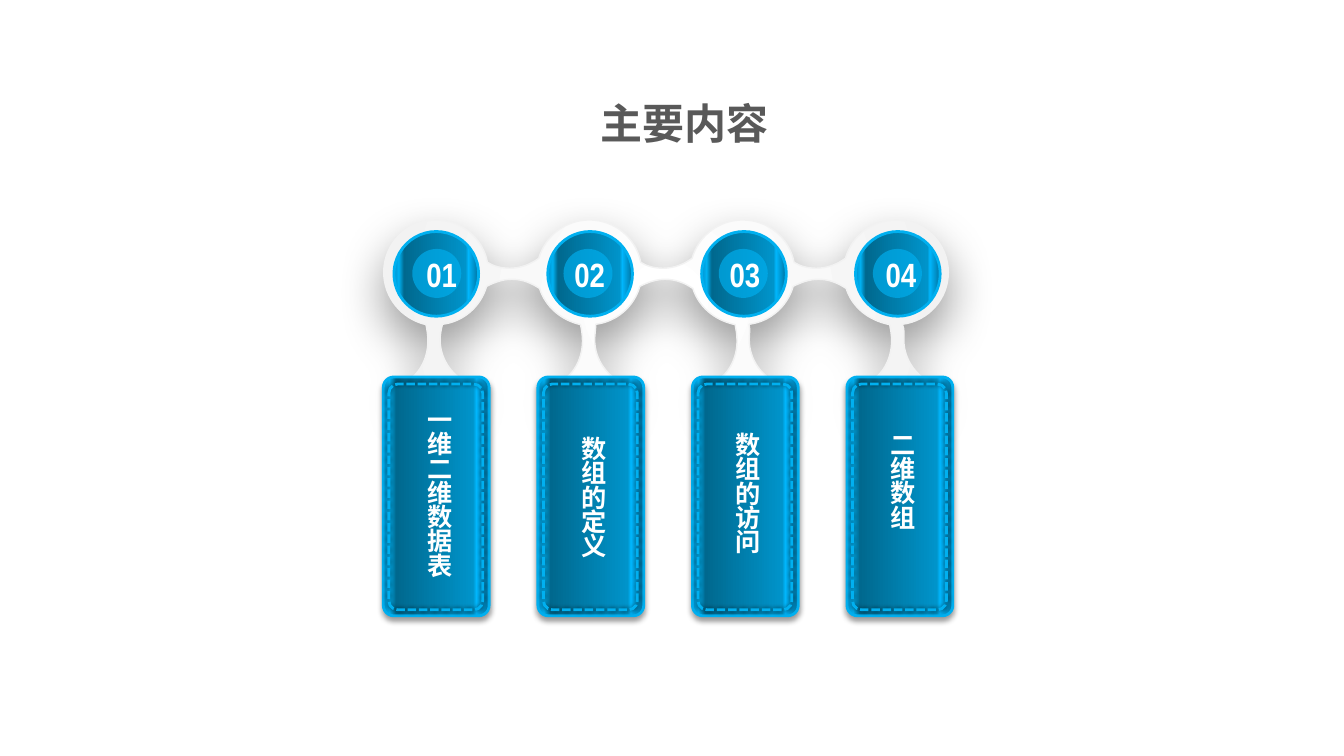
from collections import namedtuple
from math import cos, radians, sin, tan

from lxml.etree import SubElement
from pptx import Presentation
from pptx.dml.color import RGBColor
from pptx.enum.dml import MSO_LINE
from pptx.enum.shapes import MSO_SHAPE
from pptx.enum.text import MSO_ANCHOR, PP_ALIGN
from pptx.oxml.ns import qn
from pptx.util import Pt

BLUE, WHITE, PALE, GRAY = "00B0F0", "FFFFFF", "F2F2F2", "595959"
GLOSS = [(0, "0092CE"), (6, BLUE), (12, "00688E"),
         (85, "0094CA"), (88, "00B6FC"), (98, "007EB0")]
LATIN, CHINESE = "Arial Narrow", "Noto Sans CJK SC"

Topic = namedtuple("Topic", "number label badge_left number_left label_left label_top")
TOPICS = [
    Topic("01", "一维二维数据表", 294.5, 297.4, 298, 289.4),
    Topic("02", "数组的定义", 402.5, 403.2, 408.2, 310.3),
    Topic("03", "数组的访问", 513.4, 514.1, 518, 307.4),
    Topic("04", "二维数组", 623.5, 625.5, 628.6, 307.2),
]
LABEL_PITCH = 17.4
CARD_PITCH, DISC_PITCH, RING_PITCH = 110.4, 109.9, 109.5
RING_LEFT, RING_MIDDLE, RING_RADIUS = 311.5, 194.5, 37.4


def color(value):
    return RGBColor.from_string(value)


def moved(center_x, *points):
    return [(center_x + x, RING_MIDDLE + y) for x, y in points]


def ring_arc(center_x, start, end):
    """One cubic along the ring, degrees clockwise from the right."""
    first, last = radians(start), radians(end)
    handle = 4 / 3 * tan((last - first) / 4)
    unit = [(cos(first), sin(first)),
            (cos(first) - handle * sin(first), sin(first) + handle * cos(first)),
            (cos(last) + handle * sin(last), sin(last) - handle * cos(last)),
            (cos(last), sin(last))]
    return moved(center_x, *[(RING_RADIUS * x, RING_RADIUS * y) for x, y in unit])


def frame_outline(count):
    """Segments (1 point: line, 3 points: curve) of rings, bridges and stems."""
    segments = [moved(RING_LEFT, (-RING_RADIUS, 0))]
    for i in range(count):
        x = RING_LEFT + RING_PITCH * i
        segments += [ring_arc(x, 180 if i == 0 else 196, 270)[1:],
                     ring_arc(x, 270, 360 if i == count - 1 else 349)[1:]]
        if i < count - 1:
            segments += [moved(x, (41, -4.3), (46.8, -2.9), (52.6, -2.9)),
                         moved(x, (60.5, -2.9), (67.7, -5.8), (73.4, -10))]
    for i in reversed(range(count)):
        x = RING_LEFT + RING_PITCH * i
        stem = RING_LEFT + CARD_PITCH * i
        segments += [ring_arc(x, 0 if i == count - 1 else 16, 83)[1:],
                     moved(stem, (3.6, 41), (2.9, 44.6), (2.9, 48.2)),
                     moved(stem, (2.9, 62.6), (12.2, 74.9), (25.2, 80.6)),
                     moved(stem, (-23.8, 80.6)),
                     moved(stem, (-22.3, 78.5)),
                     moved(stem, (-13, 74.2), (-5.8, 62.6), (-5.8, 49)),
                     moved(stem, (-5.8, 44.6), (-6.5, 41), (-7.2, 37.4)),
                     ring_arc(x, 101, 180 if i == 0 else 162)[1:]]
        if i > 0:
            segments += [moved(x, (-41, 7.9), (-47.5, 5), (-55.4, 5)),
                         moved(x, (-61.9, 5), (-67.7, 7.2), (-73.4, 10))]
    return segments


class Painter:
    def __init__(self, slide):
        self.slide = slide

    def gradient(self, shape, stops, circular=False):
        shape.fill.gradient()
        shape.fill.gradient_angle = 0
        fill = shape._element.spPr.find(qn("a:gradFill"))
        stop_list = fill.find(qn("a:gsLst"))
        for stop in list(stop_list):
            stop_list.remove(stop)
        for position, value in stops:
            stop = SubElement(stop_list, qn("a:gs"), pos=str(position * 1000))
            SubElement(stop, qn("a:srgbClr"), val=value)
        if circular:
            fill.remove(fill.find(qn("a:lin")))
            center = SubElement(fill, qn("a:path"), path="circle")
            SubElement(center, qn("a:fillToRect"), l="50000", t="50000", r="50000", b="50000")

    def finish(self, shape, line=None, width=2, dashed=False, shadow=None):
        if line:
            shape.line.color.rgb = color(line)
            shape.line.width = Pt(width)
            if dashed:
                shape.line.dash_style = MSO_LINE.SQUARE_DOT
        else:
            shape.line.fill.background()
        shape.shadow.inherit = False
        if shadow:
            opacity, blur, distance = shadow
            effects = shape._element.spPr.find(qn("a:effectLst"))
            outer = SubElement(effects, qn("a:outerShdw"), blurRad=str(Pt(blur)),
                               dist=str(Pt(distance)), dir="5400000", algn="ctr",
                               rotWithShape="0")
            black = SubElement(outer, qn("a:srgbClr"), val="000000")
            SubElement(black, qn("a:alpha"), val=str(opacity * 1000))

    def preset(self, kind, left, top, width, height, corner=None):
        shape = self.slide.shapes.add_shape(kind, Pt(left), Pt(top), Pt(width), Pt(height))
        if corner:
            shape.adjustments[0] = corner
        return shape

    def frame(self, segments):
        ends = [(Pt(x), Pt(y)) for x, y in (segment[-1] for segment in segments)]
        builder = self.slide.shapes.build_freeform(*ends[0])
        builder.add_line_segments(ends[1:], close=True)
        shape = builder.convert_to_shape()
        # Turn the straight steps into curves
        outline = next(shape._element.iter(qn("a:path")))
        for step in list(outline):
            outline.remove(step)
        for index, segment in enumerate(segments):
            kind = "a:moveTo" if index == 0 else "a:lnTo" if len(segment) == 1 else "a:cubicBezTo"
            step = SubElement(outline, qn(kind))
            for x, y in segment:
                SubElement(step, qn("a:pt"), x=str(Pt(x) - shape.left), y=str(Pt(y) - shape.top))
        SubElement(outline, qn("a:close"))
        self.gradient(shape, [(0, WHITE), (100, PALE)], circular=True)
        self.finish(shape, PALE, 1, shadow=(40, 34, 14))

    def card(self, left, top):
        plate = self.preset(MSO_SHAPE.ROUNDED_RECTANGLE, left, top, 75.6, 170.6, 0.098)
        self.gradient(plate, GLOSS)
        self.finish(plate, BLUE, shadow=(40, 4, 3))
        stitching = self.preset(MSO_SHAPE.ROUNDED_RECTANGLE, left + 4, top + 5, 67, 161.3, 0.096)
        stitching.fill.background()
        self.finish(stitching, BLUE, dashed=True, shadow=(80, 4, 0))

    def disc(self, left, top):
        shape = self.preset(MSO_SHAPE.OVAL, left, top, 60.5, 60.5)
        self.gradient(shape, GLOSS)
        self.finish(shape, BLUE)

    def badge(self, left, top):
        shape = self.preset(MSO_SHAPE.OVAL, left, top, 35, 35)
        shape.fill.solid()
        shape.fill.fore_color.rgb = color(BLUE)
        value = shape._element.spPr.find(qn("a:solidFill")).find(qn("a:srgbClr"))
        SubElement(value, qn("a:alpha"), val="66000")
        self.finish(shape)

    def text(self, words, left, top, width, height, size, value, font, spacing,
             align=PP_ALIGN.CENTER, wrap=True, right_margin=7.2):
        box = self.slide.shapes.add_textbox(Pt(left), Pt(top), Pt(width), Pt(height))
        text_frame = box.text_frame
        text_frame.word_wrap = wrap
        text_frame.vertical_anchor = MSO_ANCHOR.TOP
        text_frame.margin_right = Pt(right_margin)
        paragraph = text_frame.paragraphs[0]
        run = paragraph.add_run()
        run.text = words
        paragraph.alignment = align
        paragraph.line_spacing = spacing
        run.font.size = Pt(size)
        run.font.bold = True
        run.font.name = font
        run.font.color.rgb = color(value)
        SubElement(run._r.get_or_add_rPr(), qn("a:ea"), typeface=CHINESE)


def main():
    presentation = Presentation()
    presentation.slide_width, presentation.slide_height = Pt(960), Pt(540)
    painter = Painter(presentation.slides.add_slide(presentation.slide_layouts[6]))

    # Linked rings behind everything
    painter.frame(frame_outline(len(TOPICS)))

    # Cards and discs, then numbers and labels
    for index, topic in enumerate(TOPICS):
        painter.card(273.8 + CARD_PITCH * index, 269.3)
        painter.disc(281.4 + DISC_PITCH * index, 165.4)
        painter.badge(topic.badge_left, 177.8)
        painter.text(topic.number, topic.number_left, 183.6, 38.2, 30.2, 24, WHITE,
                     LATIN, 0.8, PP_ALIGN.LEFT, wrap=False)
        # One character per line
        painter.text(topic.label, topic.label_left, topic.label_top, 25.2,
                     LABEL_PITCH * len(topic.label) + 7.4, 18, WHITE,
                     CHINESE, Pt(LABEL_PITCH), right_margin=0)

    # Title
    painter.text("主要内容", 321.1, 55.4, 335.5, 54.7, 30, GRAY, LATIN, Pt(46.5))

    presentation.save("out.pptx")


if __name__ == "__main__":
    main()
